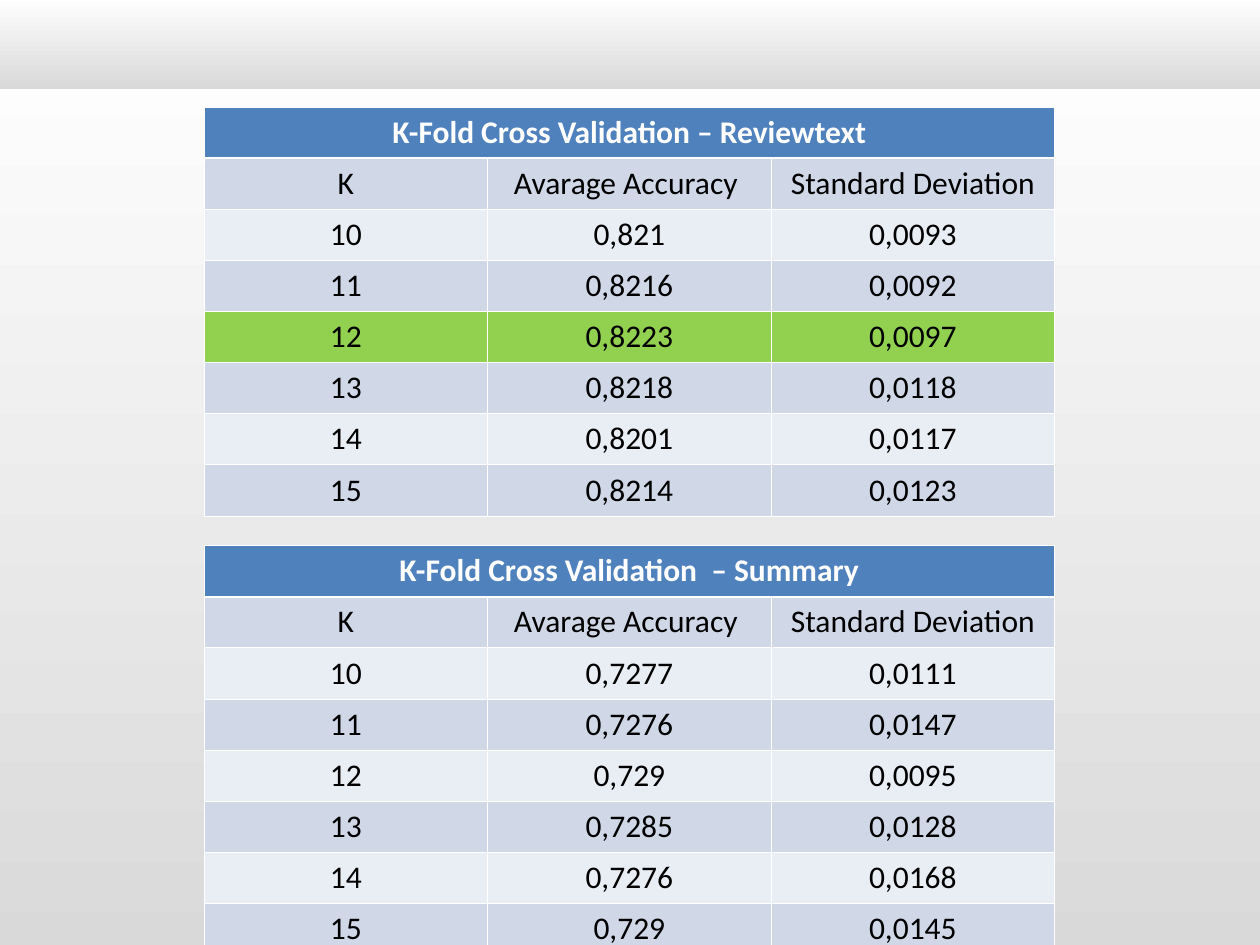
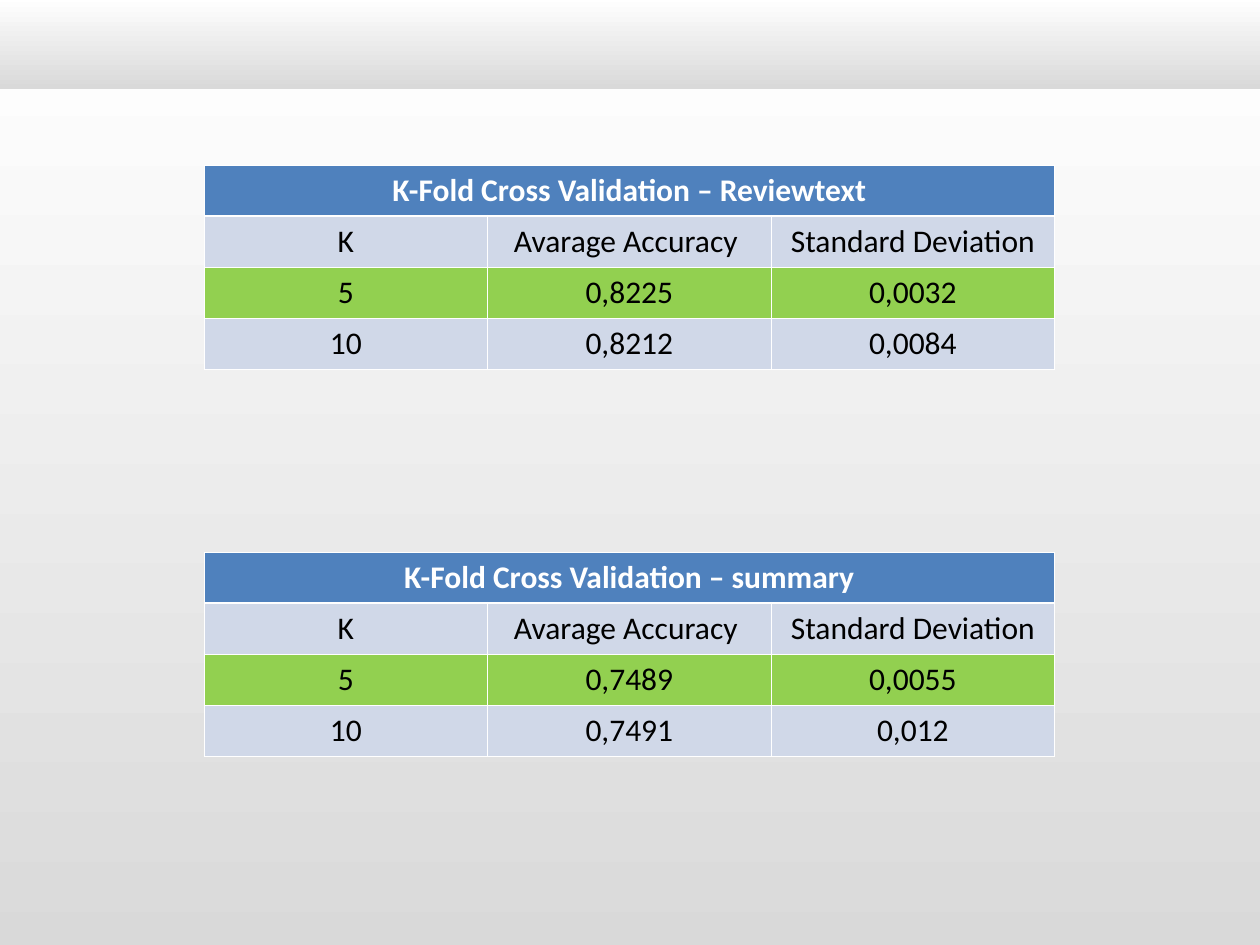
from dataclasses import dataclass

from pptx import Presentation
from pptx.dml.color import RGBColor as Rgb
from pptx.enum.shapes import MSO_SHAPE as Shape
from pptx.enum.text import PP_ALIGN as Align
from pptx.oxml import parse_xml
from pptx.oxml.ns import nsdecls
from pptx.util import Inches, Pt


@dataclass(frozen=True)
class Theme:
    font: str = "Calibri"
    size: float = 18
    white: str = "FFFFFF"
    black: str = "000000"
    gray: str = "D9D9D9"
    header: str = "4F81BD"
    dark_row: str = "D0D8E8"
    light_row: str = "E9EDF4"
    best_row: str = "92D050"
    thin: float = 0.45
    thick: float = 1.47


theme = Theme()

LEFT, COLUMN, ROW = 1.62, 2.25, 0.4
HEADINGS = ("K", "Avarage Accuracy ", "Standard Deviation")

# Backdrop and top band shared by both slides: top, height
BANDS = [(0.13, 7.5), (-0.02, 0.73)]

# Each slide holds tables: top, title, highlighted K, result rows
SLIDES = [
    [
        (0.85, "K-Fold Cross Validation – Reviewtext", "12", [
            ("10", "0,821", "0,0093"),
            ("11", "0,8216", "0,0092"),
            ("12", "0,8223", "0,0097"),
            ("13", "0,8218", "0,0118"),
            ("14", "0,8201", "0,0117"),
            ("15", "0,8214", "0,0123"),
        ]),
        (4.33, "K-Fold Cross Validation  – Summary", None, [
            ("10", "0,7277", "0,0111"),
            ("11", "0,7276", "0,0147"),
            ("12", "0,729", "0,0095"),
            ("13", "0,7285", "0,0128"),
            ("14", "0,7276", "0,0168"),
            ("15", "0,729", "0,0145"),
        ]),
    ],
    [
        (1.31, "K-Fold Cross Validation – Reviewtext", "5", [
            ("5", "0,8225", "0,0032"),
            ("10", "0,8212", "0,0084"),
        ]),
        (4.38, "K-Fold Cross Validation – summary", "5", [
            ("5", "0,7489", "0,0055"),
            ("10", "0,7491", "0,012"),
        ]),
    ],
]


def style_cell(cell, fill, color, bold, top, bottom):
    """Set borders, fill and text style of one table cell."""
    properties = cell._tc.get_or_add_tcPr()
    widths = {"lnL": theme.thin, "lnR": theme.thin, "lnT": top, "lnB": bottom}
    for side, width in widths.items():
        properties.append(parse_xml(
            f'<a:{side} {nsdecls("a")} w="{Pt(width)}"><a:solidFill>'
            f'<a:srgbClr val="{theme.white}"/></a:solidFill></a:{side}>'))
    cell.fill.solid()
    cell.fill.fore_color.rgb = Rgb.from_string(fill)
    para = cell.text_frame.paragraphs[0]
    para.alignment = Align.CENTER
    para.font.name = theme.font
    para.font.size = Pt(theme.size)
    para.font.bold = bold
    para.font.color.rgb = Rgb.from_string(color)


deck = Presentation()
deck.slide_width, deck.slide_height = Inches(10), Inches(7.5)

for tables in SLIDES:
    page = deck.slides.add_slide(deck.slide_layouts[6])

    # Gradient backdrop and band
    for top, height in BANDS:
        band = page.shapes.add_shape(Shape.RECTANGLE, 0, Inches(top),
                                     deck.slide_width, Inches(height))
        band.shadow.inherit = False
        band.line.fill.background()
        band.fill.gradient()
        band.fill.gradient_angle = 270
        for stop, color in zip(band.fill.gradient_stops, (theme.white, theme.gray)):
            stop.color.rgb = Rgb.from_string(color)

    # Result tables
    for top, title, best, results in tables:
        rows = [(title, "", ""), HEADINGS, *results]
        table = page.shapes.add_table(
            len(rows), len(HEADINGS), Inches(LEFT), Inches(top),
            Inches(COLUMN * len(HEADINGS)), Inches(ROW * len(rows))).table
        table.first_row = table.horz_banding = False
        table.cell(0, 0).merge(table.cell(0, len(HEADINGS) - 1))

        for row_index, values in enumerate(rows):
            is_title = row_index == 0
            if is_title:
                fill = theme.header
            elif values[0] == best:
                fill = theme.best_row
            else:
                fill = theme.dark_row if row_index % 2 else theme.light_row
            for column_index, value in enumerate(values):
                cell = table.cell(row_index, column_index)
                if value:
                    cell.text = value
                style_cell(cell, fill,
                           color=theme.white if is_title else theme.black,
                           bold=is_title,
                           top=theme.thick if row_index == 1 else theme.thin,
                           bottom=theme.thick if is_title else theme.thin)

deck.save("out.pptx")
